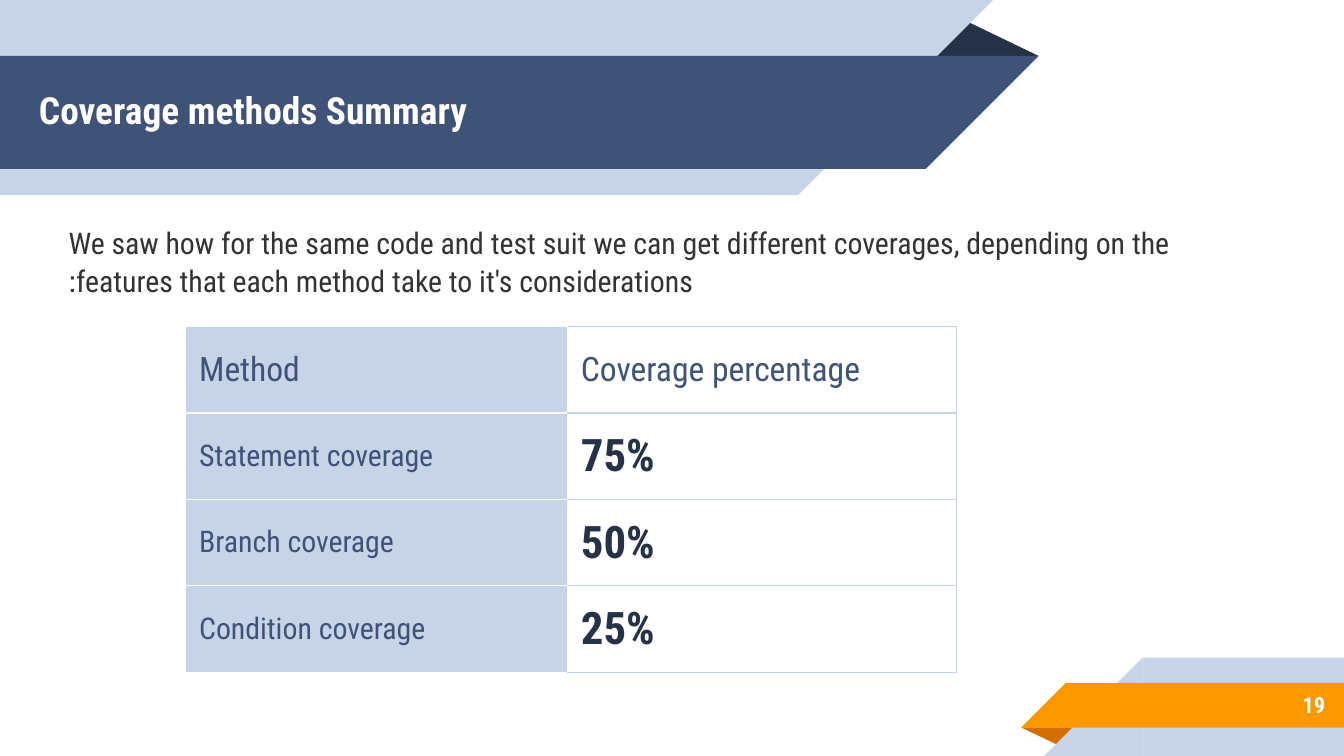
from lxml.etree import SubElement
from pptx import Presentation
from pptx.dml.color import RGBColor
from pptx.enum.shapes import MSO_SHAPE
from pptx.enum.text import MSO_ANCHOR, MSO_AUTO_SIZE, PP_ALIGN
from pptx.oxml.ns import qn
from pptx.util import Pt

TITLE = "Coverage methods Summary"
INTRO = ("We saw how for the same code and test suit we can get different coverages, "
         "depending on the features that each method take to it's considerations:")
PAGE_NUMBER = "19"
ROWS = [
    ("Method", "Coverage percentage"),
    ("Statement coverage", "75%"),
    ("Branch coverage", "50%"),
    ("Condition coverage", "25%"),
]

THEME = {
    "font": "Roboto Condensed",
    "white": "FFFFFF", "text": "333333",
    "pale": "C7D3E6", "blue": "3F5378", "navy": "263248",
    "orange": "FF9800", "rust": "D26F00",
    "title": 20, "heading": 18, "body": 16, "value": 24, "number": 12,
}
SLIDE_WIDTH, SLIDE_HEIGHT = 720, 405
INSET = 7.2

# Each ribbon: slide edge it grows from, length of its straight part, top, height, colour
HEADER_RIBBONS = [("left", 427.5, 0, 104.5, "pale"), ("left", 496, 30, 60.5, "blue")]
FOOTER_RIBBONS = [("right", 108, 352.3, 52.7, "pale"), ("right", 149, 365.8, 24, "orange")]
# Each fold: left, top, width, height, rotation, colour
HEADER_FOLD = (495.5, 10, 61, 20, 0, "navy")
FOOTER_FOLD = (547, 389.7, 31, 10, 180, "rust")

TABLE_LEFT, TABLE_TOP = 99.5, 175
COLUMN_WIDTHS = (204.5, 208.5)
ROW_HEIGHT = 46.3


def colour(name):
    return RGBColor.from_string(THEME[name])


def apply(target, values):
    for name, value in values.items():
        setattr(target, name, value)


def add_shape(slide, kind, box, fill, rotation=0):
    shape = slide.shapes.add_shape(kind, *map(Pt, box))
    shape.shadow.inherit = False
    shape.rotation = rotation
    shape.fill.solid()
    shape.fill.fore_color.rgb = colour(fill)
    shape.line.fill.background()
    return shape


def add_ribbon(slide, side, length, top, height, fill):
    """Draw a bar from a slide edge, ended by a 45 degree corner."""
    if side == "left":
        bar_left, corner_left, rotation = 0, length, 90
    else:
        bar_left = SLIDE_WIDTH - length
        corner_left, rotation = bar_left - height, 270
    add_shape(slide, MSO_SHAPE.RECTANGLE, (bar_left, top, length, height), fill)
    add_shape(slide, MSO_SHAPE.RIGHT_TRIANGLE, (corner_left, top, height, height), fill, rotation)


def add_fold(slide, left, top, width, height, rotation, fill):
    fold = add_shape(slide, MSO_SHAPE.ISOSCELES_TRIANGLE, (left, top, width, height), fill, rotation)
    fold.adjustments[0] = 0.32


def write(frame, text, size, fill, bold=False, align=PP_ALIGN.LEFT):
    paragraph = frame.paragraphs[0]
    paragraph.alignment = align
    run = paragraph.add_run()
    run.text = text
    apply(run.font, {"name": THEME["font"], "size": Pt(THEME[size]), "bold": bold})
    run.font.color.rgb = colour(fill)
    return paragraph


def format_text_shape(shape, box):
    apply(shape, dict(zip(("left", "top", "width", "height"), map(Pt, box))))
    apply(shape.text_frame, {
        "word_wrap": True, "auto_size": MSO_AUTO_SIZE.NONE,
        "vertical_anchor": MSO_ANCHOR.MIDDLE,
        "margin_left": Pt(INSET), "margin_right": Pt(INSET),
        "margin_top": Pt(INSET), "margin_bottom": Pt(INSET),
    })
    return shape.text_frame


def add_text(slide, box):
    return format_text_shape(slide.shapes.add_textbox(*map(Pt, box)), box)


def set_borders(cell, colours):
    """Add left, right, top and bottom lines ahead of the cell's fill."""
    properties = cell._tc.get_or_add_tcPr()
    for index, (side, name) in enumerate(zip(("lnL", "lnR", "lnT", "lnB"), colours)):
        line = SubElement(properties, qn(f"a:{side}"), w=str(Pt(0.75)))
        SubElement(SubElement(line, qn("a:solidFill")), qn("a:srgbClr"), val=THEME[name])
        properties.insert(index, line)


def add_coverage_table(slide):
    table = slide.shapes.add_table(
        len(ROWS), len(COLUMN_WIDTHS), Pt(TABLE_LEFT), Pt(TABLE_TOP),
        Pt(sum(COLUMN_WIDTHS)), Pt(ROW_HEIGHT * len(ROWS))).table
    apply(table, {"first_row": False, "horz_banding": False})
    for column, width in zip(table.columns, COLUMN_WIDTHS):
        column.width = Pt(width)
    for row_index, texts in enumerate(ROWS):
        table.rows[row_index].height = Pt(ROW_HEIGHT)
        for column_index, text in enumerate(texts):
            cell = table.cell(row_index, column_index)
            apply(cell, {
                "vertical_anchor": MSO_ANCHOR.MIDDLE,
                "margin_left": Pt(INSET), "margin_right": Pt(INSET),
                "margin_top": Pt(5), "margin_bottom": Pt(5),
            })
            if column_index == 0:
                cell.fill.solid()
                cell.fill.fore_color.rgb = colour("pale")
                set_borders(cell, ["white"] * 4)
            else:
                cell.fill.background()
                set_borders(cell, ["white"] + ["pale"] * 3)
            if row_index == 0:
                write(cell.text_frame, text, "heading", "blue")
            elif column_index == 0:
                write(cell.text_frame, text, "body", "blue")
            else:
                write(cell.text_frame, text, "value", "navy", bold=True)


def main():
    presentation = Presentation()
    apply(presentation, {"slide_width": Pt(SLIDE_WIDTH), "slide_height": Pt(SLIDE_HEIGHT)})
    slide = presentation.slides.add_slide(presentation.slide_layouts[5])

    for fold, ribbons in ((FOOTER_FOLD, FOOTER_RIBBONS), (HEADER_FOLD, HEADER_RIBBONS)):
        add_fold(slide, *fold)
        for ribbon in ribbons:
            add_ribbon(slide, *ribbon)

    title = slide.shapes.title
    write(format_text_shape(title, (13.7, 28.3, 432.7, 60.5)), TITLE, "title", "white", bold=True)
    slide.shapes.element.append(title.element)  # in front of the ribbons

    write(add_text(slide, (600, 365, 117, 25)), PAGE_NUMBER, "number", "white",
          bold=True, align=PP_ALIGN.RIGHT)
    intro = write(add_text(slide, (29.7, 117.4, 633.6, 44)), INTRO, "body", "text")
    intro.line_spacing = 1.07
    intro._p.get_or_add_pPr().set("rtl", "1")

    add_coverage_table(slide)
    presentation.save("out.pptx")


if __name__ == "__main__":
    main()
